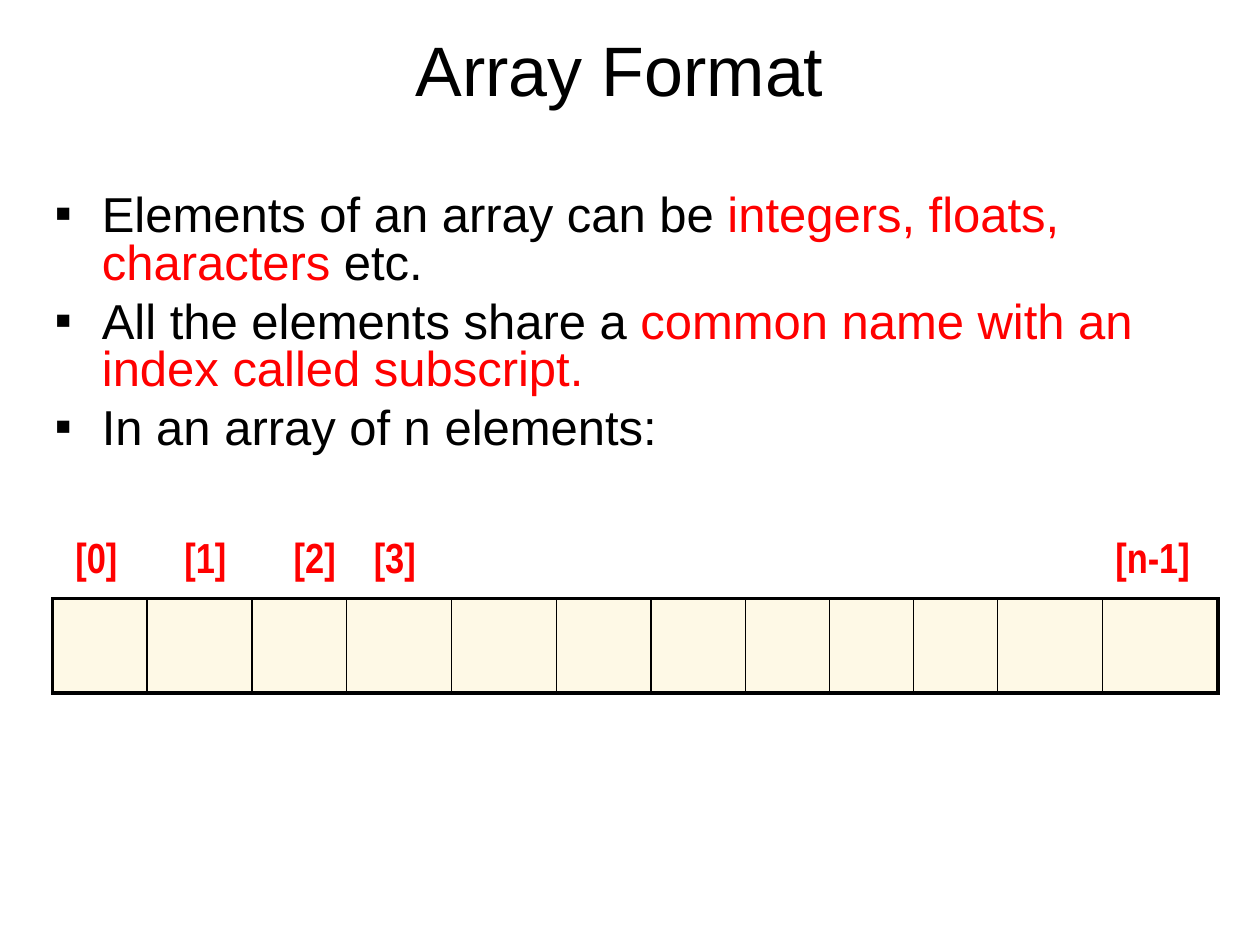
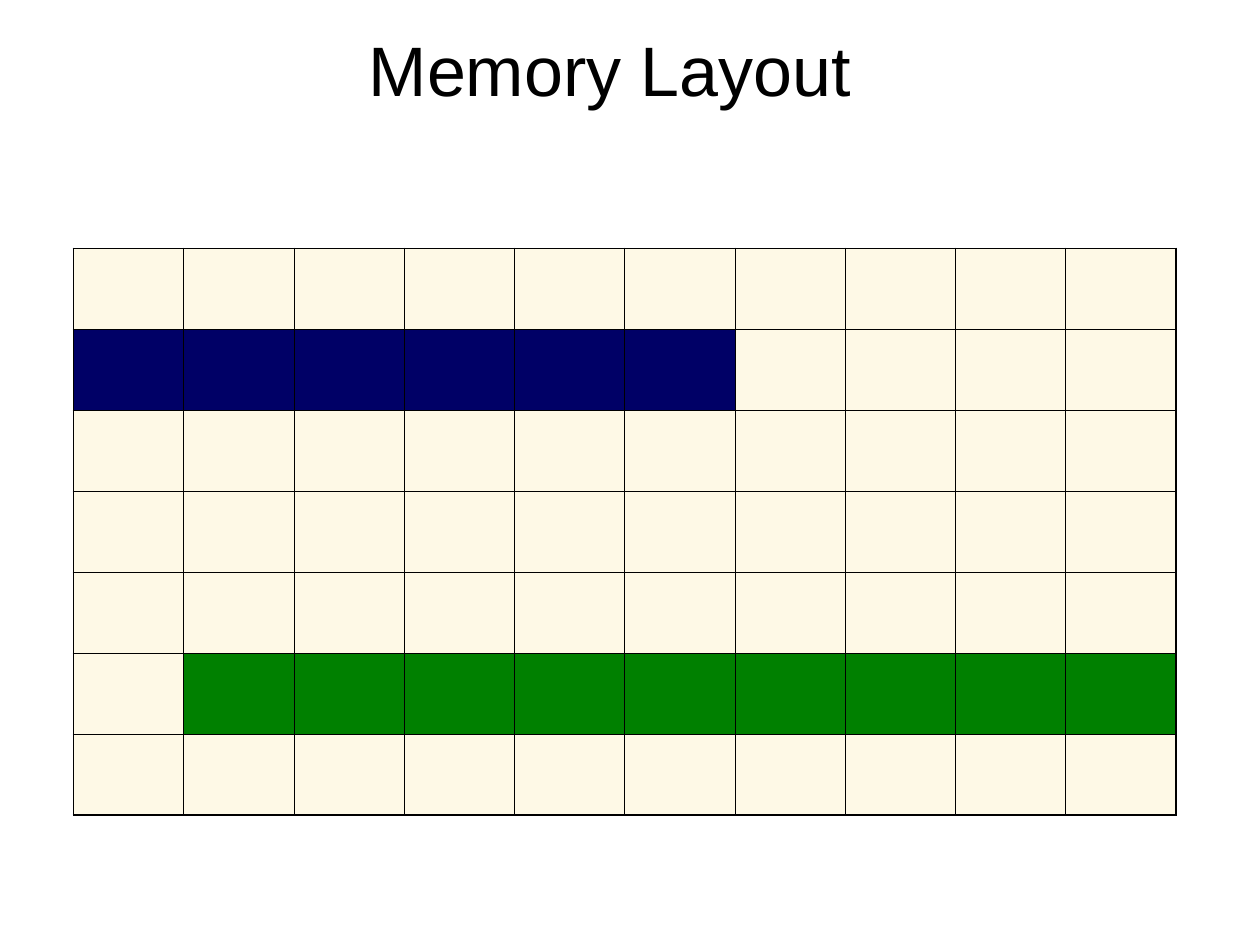
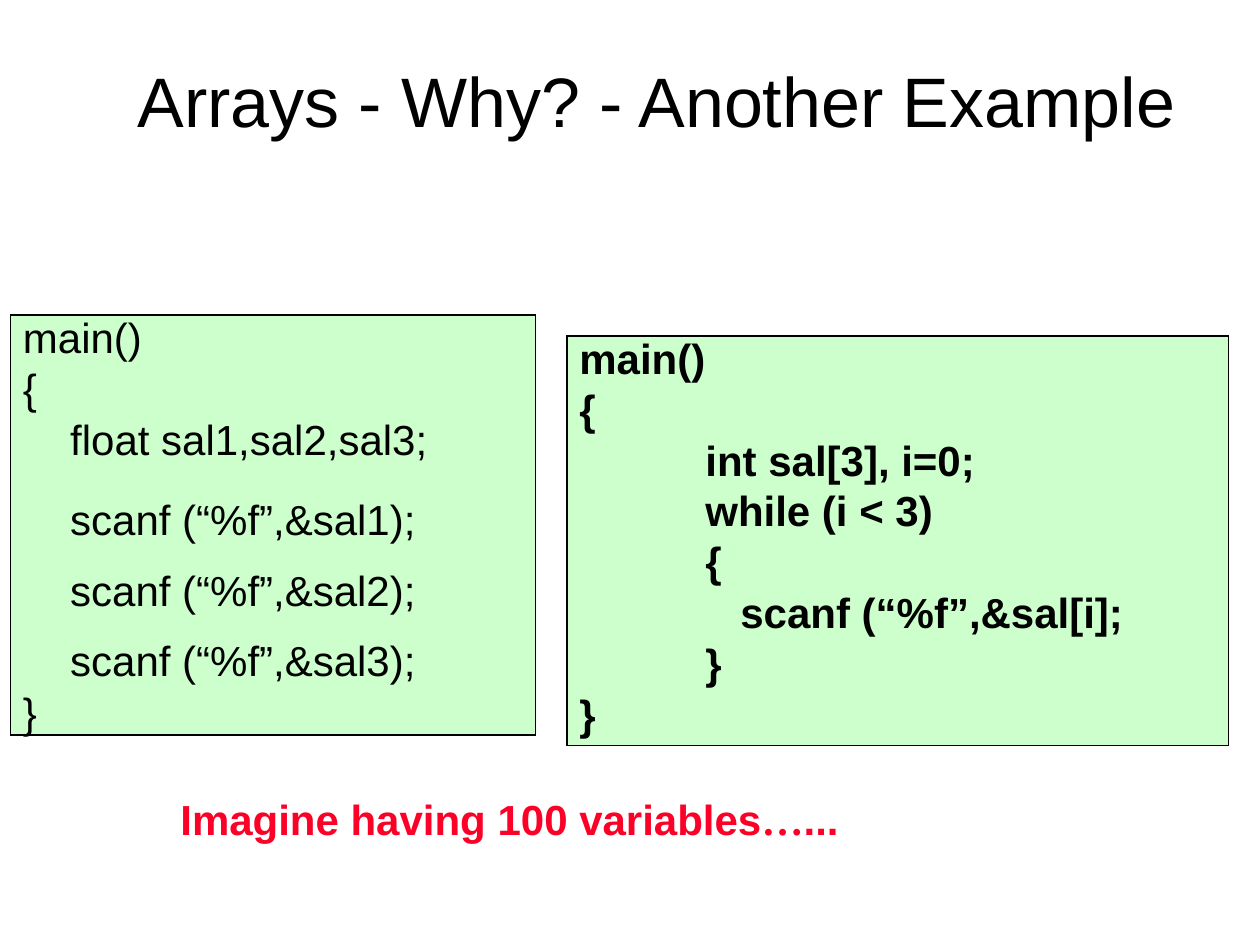
from itertools import accumulate

from lxml.etree import SubElement
from pptx import Presentation
from pptx.dml.color import RGBColor
from pptx.enum.shapes import MSO_CONNECTOR as LINK, MSO_SHAPE as SHAPE
from pptx.enum.text import MSO_ANCHOR as ANCHOR, MSO_AUTO_SIZE as FIT, PP_ALIGN as ALIGN
from pptx.oxml.ns import qn
from pptx.util import Pt

HUES = {"ink": "000000", "red": "FF0000", "alert": "FC0128", "cream": "FEF9E6",
        "navy": "000066", "green": "008000", "mint": "CCFFCC"}
FACE = "Arial"
HEAD = (36, 0, 636, 78)
TIGHT, LOOSE = 0.8, 1.4

FACTS = [
    [("Elements of an array can be ", "ink"),
     ("integers, floats, characters", "red"), (" etc.", "ink")],
    [("All the elements share a ", "ink"),
     ("common name with an index called subscript.", "red")],
    [("In an array of n elements:", "ink")],
]
STRIP = (30, 342, 666, 54)
WIDTHS = [54, 60, 54, 60, 60, 54, 54, 48, 48, 48, 60, 66]
MARKS = ["[0]", "[1]", "[2]", "[3]", "[n-1]"]
STOPS = [62.25, 124.75, 170.5, 594.25]

COLS, ROWS = 10, 7
GRID = (42, 142, 630, 323.75)
USED = {1: (range(0, 6), "navy"), 5: (range(1, 10), "green")}

# Each line of code: text, line spacing
LONG = [("main()", TIGHT), ("{", TIGHT), ("\tfloat sal1,sal2,sal3;", TIGHT),
        ("\tscanf (“%f”,&sal1); scanf (“%f”,&sal2); scanf (“%f”,&sal3);", LOOSE),
        ("}", TIGHT)]
LOOP = [(line, TIGHT) for line in (
    "main()", "{", "\tint sal[3], i=0;", "\twhile (i < 3)", "\t{",
    "\t   scanf (“%f”,&sal[i];", "\t}", "}")]
CLAIM = [("Imagine having 100 variables", FACE), ("…", "Times New Roman"), ("...", FACE)]


def tint(name):
    return RGBColor.from_string(HUES[name])


def pts(box):
    return [Pt(n) for n in box]


def style(font, size, hue="ink", bold=False, face=FACE):
    font.name, font.size, font.bold = face, Pt(size), bold
    font.color.rgb = tint(hue)


def place(shape, box):
    shape.left, shape.top, shape.width, shape.height = pts(box)


def start(deck, layout, title, box=HEAD):
    """Add a slide with its title in place."""
    slide = deck.slides.add_slide(deck.slide_layouts[layout])
    head = slide.shapes.title
    place(head, box)
    frame = head.text_frame
    frame.text = title
    frame.auto_size, frame.vertical_anchor = FIT.NONE, ANCHOR.MIDDLE
    para = frame.paragraphs[0]
    para.alignment = ALIGN.CENTER
    style(para.runs[0].font, 40)
    return slide


def hang(para, indent):
    props = para._p.get_or_add_pPr()
    props.set("marL", str(Pt(indent)))
    props.set("indent", str(-Pt(indent)))
    return props


def bullet(para):
    props = hang(para, 27)
    color = SubElement(props, qn("a:buClr"))
    SubElement(color, qn("a:srgbClr"), val=HUES["ink"])
    SubElement(props, qn("a:buFont"), typeface=FACE)
    SubElement(props, qn("a:buChar"), char="▪")


def set_tabs(para, stops):
    tabs = SubElement(para._p.get_or_add_pPr(), qn("a:tabLst"))
    for stop in stops:
        SubElement(tabs, qn("a:tab"), pos=str(Pt(stop)), algn="l")


def paras(frame, items, gap):
    """Pair each item with a paragraph, spaced from the second on."""
    for i, item in enumerate(items):
        para = frame.add_paragraph() if i else frame.paragraphs[0]
        para.space_before = Pt(gap if i else 0)
        yield para, item


def panel(slide, box, fill, weight):
    rect = slide.shapes.add_shape(SHAPE.RECTANGLE, *pts(box))
    rect.shadow.inherit = False
    rect.fill.solid()
    rect.fill.fore_color.rgb = tint(fill)
    rect.line.color.rgb = tint("ink")
    rect.line.width = Pt(weight)
    SubElement(rect._element.spPr.find(qn("a:ln")), qn("a:miter"), lim="800000")
    return rect


def note(slide, box):
    frame = slide.shapes.add_textbox(*pts(box)).text_frame
    frame.word_wrap = True
    return frame.paragraphs[0]


def rule(slide, x, top, bottom):
    line = slide.shapes.add_connector(LINK.STRAIGHT, *pts((x, top, x, bottom)))
    line.line.color.rgb = tint("ink")
    line.line.width = Pt(1)
    SubElement(line._element.spPr, qn("a:effectLst"))


def border(cell, row, col):
    props = cell._tc.get_or_add_tcPr()
    outer = {"lnL": col == 0, "lnR": col == COLS - 1,
             "lnT": row == 0, "lnB": row == ROWS - 1}
    for side, edge in outer.items():
        line = SubElement(props, qn("a:" + side), w=str(Pt(1.08 if edge else 0.45)))
        fill = SubElement(line, qn("a:solidFill"))
        SubElement(fill, qn("a:srgbClr"), val=HUES["ink"])


def code(slide, box, lines, weight, indent=0, bold=False):
    frame = panel(slide, box, "mint", weight).text_frame
    frame.word_wrap, frame.vertical_anchor = True, ANCHOR.TOP
    for para, (text, pitch) in paras(frame, lines, 6):
        para.text = text
        para.alignment, para.line_spacing = ALIGN.LEFT, pitch
        if indent:
            hang(para, indent)
        else:
            set_tabs(para, [72])
        style(para.runs[0].font, 24, bold=bold)


def format_slide(deck):
    slide = start(deck, 1, "Array Format")
    body = slide.placeholders[1]
    place(body, (24, 108, 678, 160.5))
    body.text_frame.auto_size = FIT.NONE
    for para, parts in paras(body.text_frame, FACTS, 7):
        bullet(para)
        para.line_spacing = TIGHT
        for text, hue in parts:
            run = para.add_run()
            run.text = text
            style(run.font, 28, hue)

    left, top, _, high = STRIP
    panel(slide, STRIP, "cream", 2)
    for x in accumulate(WIDTHS[:-1]):
        rule(slide, left + x, top, top + high)

    para = note(slide, (36, 300, 672, 36))
    para.text = "\t".join(MARKS)
    set_tabs(para, STOPS)
    for run in para.runs:
        style(run.font, 24, "red", True, "Arial Narrow")


def memory_slide(deck):
    slide = start(deck, 5, "Memory Layout ")
    table = slide.shapes.add_table(ROWS, COLS, *pts(GRID)).table
    table.first_row = table.horz_banding = False
    for r in range(ROWS):
        span, hue = USED.get(r, ((), "cream"))
        for c in range(COLS):
            cell = table.cell(r, c)
            border(cell, r, c)
            cell.fill.solid()
            cell.fill.fore_color.rgb = tint(hue if c in span else "cream")


def why_slide(deck):
    slide = start(deck, 5, "Arrays - Why? - Another Example", (30, 24, 690, 66))
    code(slide, (6, 180, 300, 240), LONG, 0.75, indent=27)
    para = note(slide, (96, 450, 540, 36))
    for text, face in CLAIM:
        run = para.add_run()
        run.text = text
        style(run.font, 24, "alert", True, face)
    code(slide, (324, 192, 378, 234), LOOP, 1, bold=True)


def main():
    deck = Presentation()
    deck.slide_width, deck.slide_height = Pt(720), Pt(540)
    format_slide(deck)
    memory_slide(deck)
    why_slide(deck)
    deck.save("out.pptx")


if __name__ == "__main__":
    main()
